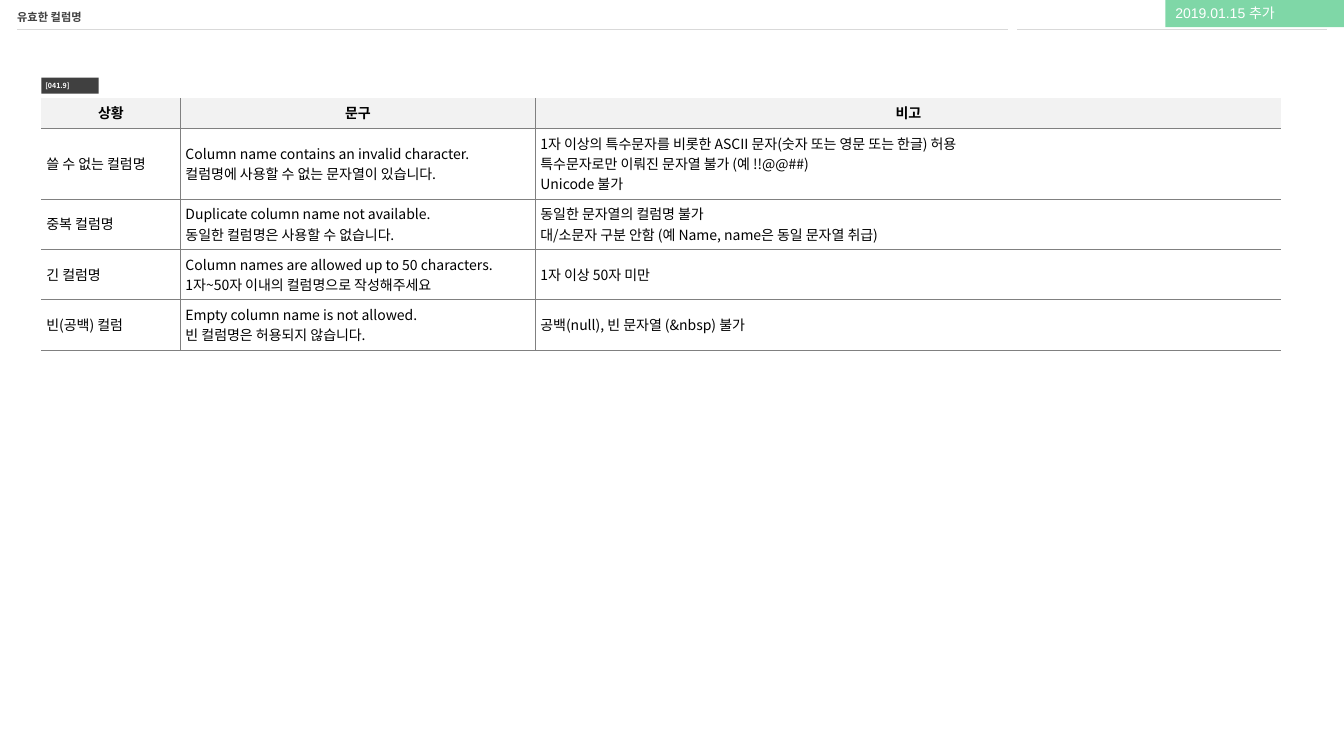
"""Build the slide listing messages for valid column names."""
from lxml.etree import SubElement
from pptx import Presentation
from pptx.dml.color import RGBColor
from pptx.enum.shapes import MSO_CONNECTOR, MSO_SHAPE
from pptx.enum.text import MSO_ANCHOR as Anchor, MSO_AUTO_SIZE as AutoSize, PP_ALIGN as Align
from pptx.oxml.ns import qn
from pptx.util import Inches, Pt

TITLE = "유효한 컬럼명"
TAG = "[041.9]"
ADDED = "2019.01.15 추가"
ROWS = [
    (["상황"], ["문구"], ["비고"]),
    (["쓸 수 없는 컬럼명"],
     ["Column name contains an invalid character.", "컬럼명에 사용할 수 없는 문자열이 있습니다."],
     ["1자 이상의 특수문자를 비롯한 ASCII 문자(숫자 또는 영문 또는 한글) 허용",
      "특수문자로만 이뤄진 문자열 불가 (예 !!@@##)", "Unicode 불가"]),
    (["중복 컬럼명"],
     ["Duplicate column name not available.", "동일한 컬럼명은 사용할 수 없습니다."],
     ["동일한 문자열의 컬럼명 불가", "대/소문자 구분 안함 (예 Name, name은 동일 문자열 취급)"]),
    (["긴 컬럼명"],
     ["Column names are allowed up to 50 characters.", "1자~50자 이내의 컬럼명으로 작성해주세요"],
     ["1자 이상 50자 미만"]),
    (["빈(공백) 컬럼"],
     ["Empty column name is not allowed.", "빈 컬럼명은 허용되지 않습니다."],
     ["공백(null), 빈 문자열 (&nbsp) 불가"]),
]
COLUMN_WIDTHS = [1.38, 3.52, 7.4]
LINE_HEIGHT, CELL_MARGIN = 0.2, 0.05
HEADER_RULES = [(0.17, 10), (10.09, 13.16)]
RULE_TOP = 0.29
SANS = "Noto Sans CJK KR"
COLORS = {"rule": "D9D9D9", "border": "808080", "header": "F2F2F2", "white": "FFFFFF",
          "black": "000000", "dark": "404040", "green": "00B050"}
SIDES = ("left", "right", "top", "bottom")


def rgb(name):
    return RGBColor.from_string(COLORS[name])


def set_margins(holder, margins):
    for side, margin in zip(SIDES, margins):
        setattr(holder, f"margin_{side}", Inches(margin))


def write(frame, lines, size, color, font=SANS, bold=False, align=Align.LEFT):
    for index, line in enumerate(lines):
        para = frame.add_paragraph() if index else frame.paragraphs[0]
        para.alignment = align
        span = para.add_run()
        span.text = line
        for name, value in {"size": Pt(size), "bold": bold, "name": font}.items():
            setattr(span.font, name, value)
        span.font.color.rgb = rgb(color)
        SubElement(span.font._element, qn("a:ea"), typeface=font)


def set_borders(cell, shown):
    for side in SIDES:
        line = SubElement(cell._tc.get_or_add_tcPr(), qn(f"a:ln{side[0].upper()}"), w=str(Pt(0.25)))
        if side in shown:
            fill = SubElement(line, qn("a:solidFill"))
            SubElement(fill, qn("a:srgbClr"), val=COLORS["border"])
        else:
            SubElement(line, qn("a:noFill"))


def add_label(page, area, color, margins):
    box = page.shapes.add_shape(MSO_SHAPE.RECTANGLE, *map(Inches, area))
    box.shadow.inherit = False
    box.fill.solid()
    box.fill.fore_color.rgb = rgb(color)
    box.line.fill.background()
    frame = box.text_frame
    frame.word_wrap = True
    frame.auto_size = AutoSize.SHAPE_TO_FIT_TEXT
    frame.vertical_anchor = Anchor.TOP
    set_margins(frame, margins)
    return box


def add_messages(page):
    heights = [LINE_HEIGHT * max(map(len, row)) + 2 * CELL_MARGIN for row in ROWS]
    holder = page.shapes.add_table(len(ROWS), len(COLUMN_WIDTHS), Inches(0.41), Inches(0.97),
                                   Inches(sum(COLUMN_WIDTHS)), Inches(sum(heights)))
    table = holder.table
    table.first_row = table.horz_banding = False
    for column, width in zip(table.columns, COLUMN_WIDTHS):
        column.width = Inches(width)
    for r, (row, height) in enumerate(zip(ROWS, heights)):
        table.rows[r].height = Inches(height)
        header = r == 0
        for c, lines in enumerate(row):
            cell = table.cell(r, c)
            inner = {"left": c > 0, "right": c < len(row) - 1, "top": not header, "bottom": True}
            set_borders(cell, [side for side in SIDES if inner[side]])
            cell.fill.solid()
            cell.fill.fore_color.rgb = rgb("header" if header else "white")
            cell.vertical_anchor = Anchor.MIDDLE
            set_margins(cell, [CELL_MARGIN] * 4)
            write(cell.text_frame, lines, 10, "black", bold=header,
                  align=Align.CENTER if header else Align.LEFT)


def main():
    deck = Presentation()
    deck.slide_width, deck.slide_height = Inches(13.33), Inches(7.5)
    page = deck.slides.add_slide(deck.slide_layouts[5])

    for start, end in HEADER_RULES:
        rule = page.shapes.add_connector(MSO_CONNECTOR.STRAIGHT, Inches(start), Inches(RULE_TOP),
                                         Inches(end), Inches(RULE_TOP))
        rule.line.color.rgb = rgb("rule")
        rule.line.width = Pt(0.25)
        SubElement(rule._element.spPr, qn("a:effectLst"))

    title = page.shapes.title
    for name, value in zip(("left", "top", "width", "height"), (0.17, 0, 9.83, 0.28)):
        setattr(title, name, Inches(value))
    frame = title.text_frame
    frame.word_wrap = True
    frame.auto_size = AutoSize.NONE
    frame.vertical_anchor = Anchor.BOTTOM
    set_margins(frame, (0, 0, 0, 0.04))
    write(frame, [TITLE], 8, "dark", bold=True)
    frame.paragraphs[0].line_spacing = 0.9

    add_messages(page)

    added = add_label(page, (11.56, 0, 1.77, 0.27), "green", (0.1, 0.1, 0.05, 0.05))
    green = added.fill._xPr.find(qn("a:solidFill"))[0]
    SubElement(green, qn("a:alpha"), val="50000")
    write(added.text_frame, [ADDED], 10, "white", font="Arial")

    tag = add_label(page, (0.41, 0.77, 0.57, 0.16), "dark", [0.04] * 4)
    write(tag.text_frame, [TAG], 5, "white", bold=True)

    deck.save("out.pptx")


if __name__ == "__main__":
    main()
